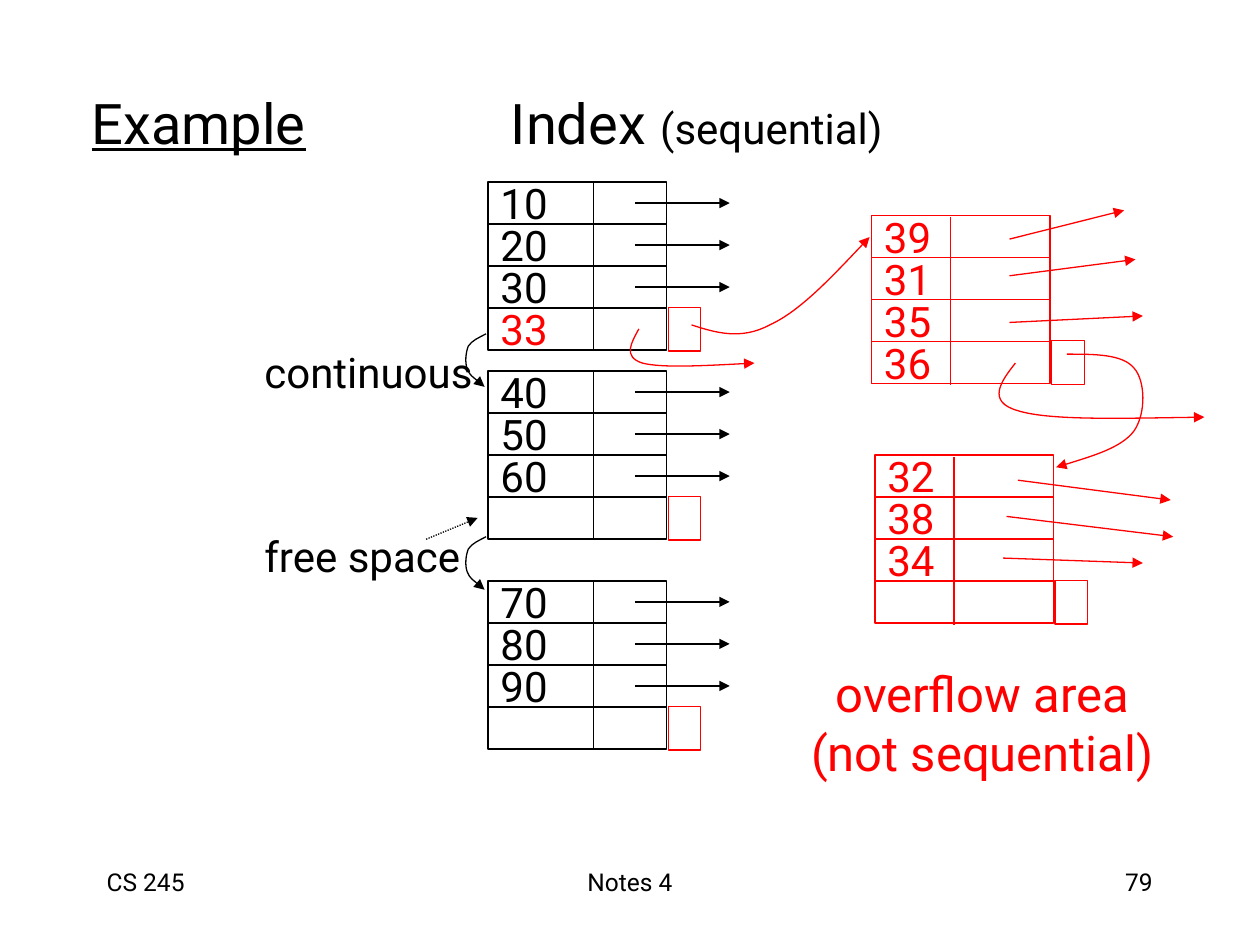
from lxml.etree import SubElement
from pptx import Presentation
from pptx.dml.color import RGBColor
from pptx.enum.dml import MSO_LINE
from pptx.enum.shapes import MSO_CONNECTOR, MSO_SHAPE
from pptx.enum.text import MSO_ANCHOR, PP_ALIGN
from pptx.oxml.ns import qn
from pptx.util import Cm, Pt

COLORS = {"black": "000000", "red": "FF0000", "white": "FFFFFF"}
FONT = "Roboto"
BLOCK_WIDTH, ROW_HEIGHT = 3.6, 0.847
POINTER_OFFSET = (3.63, 2.53)
POINTER_SIZE = (0.66, 0.88)

CONTINUATION = [(-0.15, 0.08), (-0.28, 0.13), (-0.36, 0.25),
                (-0.41, 0.38), (-0.43, 0.58), (-0.38, 0.71),
                (-0.33, 0.84), (-0.08, 1.02), (-0.03, 1.07)]
TO_OVERFLOW = [(0.49, 0.16), (1, 0.31), (1.58, 0),
               (2.19, -0.28), (2.9, -1.04), (3.59, -1.77)]
TO_SECOND_OVERFLOW = [(0.56, 0), (1.12, 0), (1.35, 0.28),
                      (1.58, 0.53), (1.6, 1.19), (1.35, 1.55),
                      (1.1, 1.88), (0.44, 2.08), (-0.22, 2.28)]
FROM_33 = [(-0.15, 0.28), (-0.33, 0.56), (0.07, 0.69),
           (0.46, 0.79), (1.39, 0.74), (2.33, 0.69)]
FROM_36 = [(-0.3, 0.38), (-0.58, 0.78), (0.05, 0.96),
           (0.69, 1.16), (2.24, 1.11), (3.81, 1.09)]


def rgb(color):
    return RGBColor.from_string(COLORS[color])


def apply_format(target, values):
    for name, value in values.items():
        setattr(target, name, value)


def write(paragraph, text, size, color="black", **extra):
    run = paragraph.add_run()
    run.text = text
    apply_format(run.font, {"name": FONT, "size": Pt(size), **extra})
    run.font.color.rgb = rgb(color)


def style_line(stroke, color, arrow=False):
    stroke.color.rgb = rgb(color)
    stroke.width = Pt(0.75)
    if arrow:
        SubElement(stroke._get_or_add_ln(), qn("a:tailEnd"), type="triangle")


def label(slide, left, top, width, height, runs, align=PP_ALIGN.LEFT):
    frame = slide.shapes.add_textbox(
        Cm(left), Cm(top), Cm(width), Cm(height)).text_frame
    frame.word_wrap = True
    frame.paragraphs[0].alignment = align
    for text, size, extra in runs:
        write(frame.paragraphs[0], text, size, **extra)


def straight(slide, start, end, color, arrow=True):
    connector = slide.shapes.add_connector(
        MSO_CONNECTOR.STRAIGHT, *(Cm(value) for value in (*start, *end)))
    style_line(connector.line, color, arrow)
    SubElement(connector._element.spPr, qn("a:effectLst"))
    return connector


def curve(slide, left, top, offsets, color):
    builder = slide.shapes.build_freeform(Cm(left), Cm(top))
    builder.add_line_segments(
        [(Cm(left + dx), Cm(top + dy)) for dx, dy in offsets], close=False)
    arc = builder.convert_to_shape()
    arc.shadow.inherit = False
    arc.fill.background()
    style_line(arc.line, color, arrow=True)
    outline = arc._element.find(".//" + qn("a:path"))
    segments = outline.findall(qn("a:lnTo"))
    for first in range(0, len(segments), 3):
        bezier = SubElement(outline, qn("a:cubicBezTo"))
        for segment in segments[first:first + 3]:
            bezier.append(segment[0])
            outline.remove(segment)


def rectangle(slide, left, top, width, height, color=None):
    box = slide.shapes.add_shape(
        MSO_SHAPE.RECTANGLE, Cm(left), Cm(top), Cm(width), Cm(height))
    box.shadow.inherit = False
    box.fill.solid()
    box.fill.fore_color.rgb = rgb("white")
    if color:
        style_line(box.line, color)
    else:
        box.line.fill.background()
    apply_format(box.text_frame, {"word_wrap": False,
                                  "vertical_anchor": MSO_ANCHOR.MIDDLE})
    return box


def block(slide, left, top, keys, color, divider, arrows, divider_drop=0):
    for row, (key, key_color) in enumerate(keys):
        cell = rectangle(slide, left, top + row * ROW_HEIGHT,
                         BLOCK_WIDTH, ROW_HEIGHT, color)
        if key:
            paragraph = cell.text_frame.paragraphs[0]
            paragraph.alignment = PP_ALIGN.LEFT
            write(paragraph, key, 24, key_color)
    line_top = top + divider_drop
    straight(slide, (left + divider, line_top),
             (left + divider, line_top + 4 * ROW_HEIGHT), color, arrow=False)
    rectangle(slide, left + POINTER_OFFSET[0], top + POINTER_OFFSET[1],
              *POINTER_SIZE, "red")
    for x1, y1, x2, y2 in arrows:
        straight(slide, (left + x1, top + y1), (left + x2, top + y2), color)


def index_area(slide, left, top):
    arrows = [(2.96, (row + 0.5) * ROW_HEIGHT, 4.87, (row + 0.5) * ROW_HEIGHT)
              for row in range(3)]
    for drop, keys, last in ((0, "10 20 30", "33"),
                             (3.81, "40 50 60", ""),
                             (8.04, "70 80 90", "")):
        rows = [(key, "black") for key in keys.split()] + [(last, "red")]
        block(slide, left, top + drop, rows, "black", 2.12, arrows)
    for drop in (3.06, 7.15):
        curve(slide, left - 0.04, top + drop, CONTINUATION, "black")
    free_space = straight(slide, (left - 1.25, top + 7.2),
                          (left - 0.21, top + 6.77), "black", arrow=False)
    free_space.line.dash_style = MSO_LINE.ROUND_DOT
    style_line(free_space.line, "black", arrow=True)
    curve(slide, left + 3.04, top + 2.96, FROM_33, "red")
    curve(slide, left + 4.1, top + 2.88, TO_OVERFLOW, "red")


def overflow_area(slide, left, top):
    first_arrows = [(2.78, 0.48, 5.09, -0.1), (2.78, 1.22, 5.32, 0.89),
                    (2.78, 2.16, 5.47, 2.03)]
    second_arrows = [(2.88, 0.51, 5.96, 0.91), (2.65, 1.24, 6.01, 1.65),
                     (2.58, 2.08, 5.4, 2.18)]
    for dx, dy, keys, arrows in (
            (0, 0, ("39", "31", "35", "36"), first_arrows),
            (0.07, 4.83, ("32", "38", "34", ""), second_arrows)):
        block(slide, left + dx, top + dy, [(key, "red") for key in keys],
              "red", 1.59, arrows, divider_drop=0.04)
    curve(slide, left + 3.94, top + 2.8, TO_SECOND_OVERFLOW, "red")
    curve(slide, left + 2.9, top + 2.98, FROM_36, "red")
    caption = rectangle(slide, left - 1.49, top + 8.92, 7.44, 2.62).text_frame
    caption.text = "\n"
    for paragraph, text in zip(caption.paragraphs,
                               ("overflow area", "(not sequential)")):
        paragraph.alignment = PP_ALIGN.CENTER
        write(paragraph, text, 28, "red")


def headings(slide, left, top):
    label(slide, left, top, 6, 1.6, [("Example", 32, {"underline": True})])
    label(slide, left + 8.45, top, 9, 1.6,
          [("Index ", 32, {}), ("(sequential)", 24, {})])
    for text, drop in (("continuous", 5.22), ("free space", 8.91)):
        label(slide, left + 3.48, top + drop, 4.9, 1.25, [(text, 24, {})])


def footer(slide, left, top):
    for dx, width, text, align in (
            (0, 5.29, "CS 245", PP_ALIGN.LEFT),
            (6.77, 8.06, "Notes 4", PP_ALIGN.CENTER),
            (16.3, 5.29, "79", PP_ALIGN.RIGHT)):
        label(slide, left + dx, top, width, 1.27, [(text, 14, {})], align)


def main():
    deck = Presentation()
    apply_format(deck, {"slide_width": Cm(25.4), "slide_height": Cm(19.05)})
    slide = deck.slides.add_slide(deck.slide_layouts[6])
    footer(slide, 1.9, 17.36)
    headings(slide, 1.6, 1.65)
    index_area(slide, 9.84, 3.67)
    overflow_area(slide, 17.57, 4.34)
    deck.save("out.pptx")


if __name__ == "__main__":
    main()
